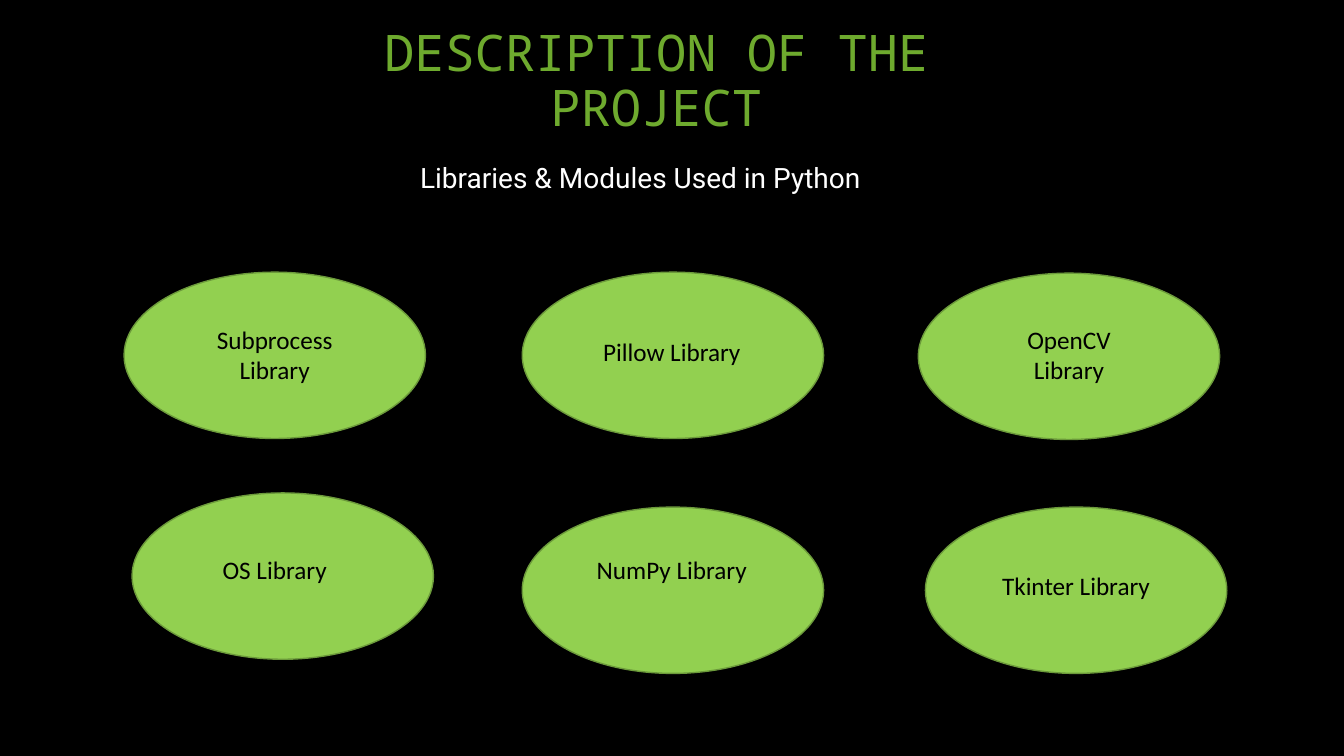
from pptx import Presentation
from pptx.dml.color import RGBColor
from pptx.enum.shapes import MSO_SHAPE
from pptx.enum.text import MSO_ANCHOR, PP_ALIGN
from pptx.util import Pt

TITLE = "DESCRIPTION OF THE PROJECT"
SUBTITLE = "Libraries & Modules Used in Python"
# name, oval left and top, label left and top, label height
LIBRARIES = [
    ("Subprocess Library", 88.6, 194.4, 133.9, 228.2, 51),
    ("Pillow Library", 373, 194.4, 417.6, 236.9, 29),
    ("OpenCV Library", 655.9, 195.1, 701.3, 228.2, 51),
    ("OS Library", 94.3, 352.1, 133.9, 392.4, 29),
    ("NumPy Library", 373, 362.2, 417.6, 392.4, 51),
    ("Tkinter Library", 661, 362.2, 706.3, 403.9, 29),
]
OVAL_WIDTH, OVAL_HEIGHT = 215.3, 118.8
LABEL_WIDTH = 124.6

BLACK = RGBColor(0x00, 0x00, 0x00)
WHITE = RGBColor(0xFF, 0xFF, 0xFF)
TITLE_GREEN = RGBColor(0x6E, 0xAA, 0x2E)
OVAL_GREEN = RGBColor(0x92, 0xD0, 0x50)
EDGE_GREEN = RGBColor(0x6C, 0x9A, 0x3B)


def add_text(page, text, area, font, size, color, align=PP_ALIGN.CENTER):
    """Add a one-paragraph text box; area is left, top, width, height in points."""
    box = page.shapes.add_textbox(*map(Pt, area))
    frame = box.text_frame
    frame.word_wrap = True
    frame.text = text
    para = frame.paragraphs[0]
    para.alignment = align
    span = para.runs[0]
    span.font.name = font
    span.font.size = Pt(size)
    span.font.color.rgb = color
    return frame


def add_oval(page, left, top):
    oval = page.shapes.add_shape(
        MSO_SHAPE.OVAL, Pt(left), Pt(top), Pt(OVAL_WIDTH), Pt(OVAL_HEIGHT))
    oval.shadow.inherit = False
    oval.fill.solid()
    oval.fill.fore_color.rgb = OVAL_GREEN
    oval.line.color.rgb = EDGE_GREEN
    oval.line.width = Pt(1)


def main():
    deck = Presentation()
    deck.slide_width, deck.slide_height = Pt(960), Pt(540)
    page = deck.slides.add_slide(deck.slide_layouts[6])
    page.background.fill.solid()
    page.background.fill.fore_color.rgb = BLACK

    title = add_text(page, TITLE, (192.2, 51.1, 553, 50.4),
                     "Noto Sans Mono", 36, TITLE_GREEN)
    title.vertical_anchor = MSO_ANCHOR.BOTTOM
    title.paragraphs[0].line_spacing = 0.9
    add_text(page, SUBTITLE, (293, 110.9, 351.4, 31.7),
             "Roboto", 20, WHITE, PP_ALIGN.LEFT)

    for name, oval_left, oval_top, left, top, height in LIBRARIES:
        add_oval(page, oval_left, oval_top)
        add_text(page, name, (left, top, LABEL_WIDTH, height),
                 "Calibri", 18, BLACK)

    deck.save("out.pptx")


if __name__ == "__main__":
    main()
